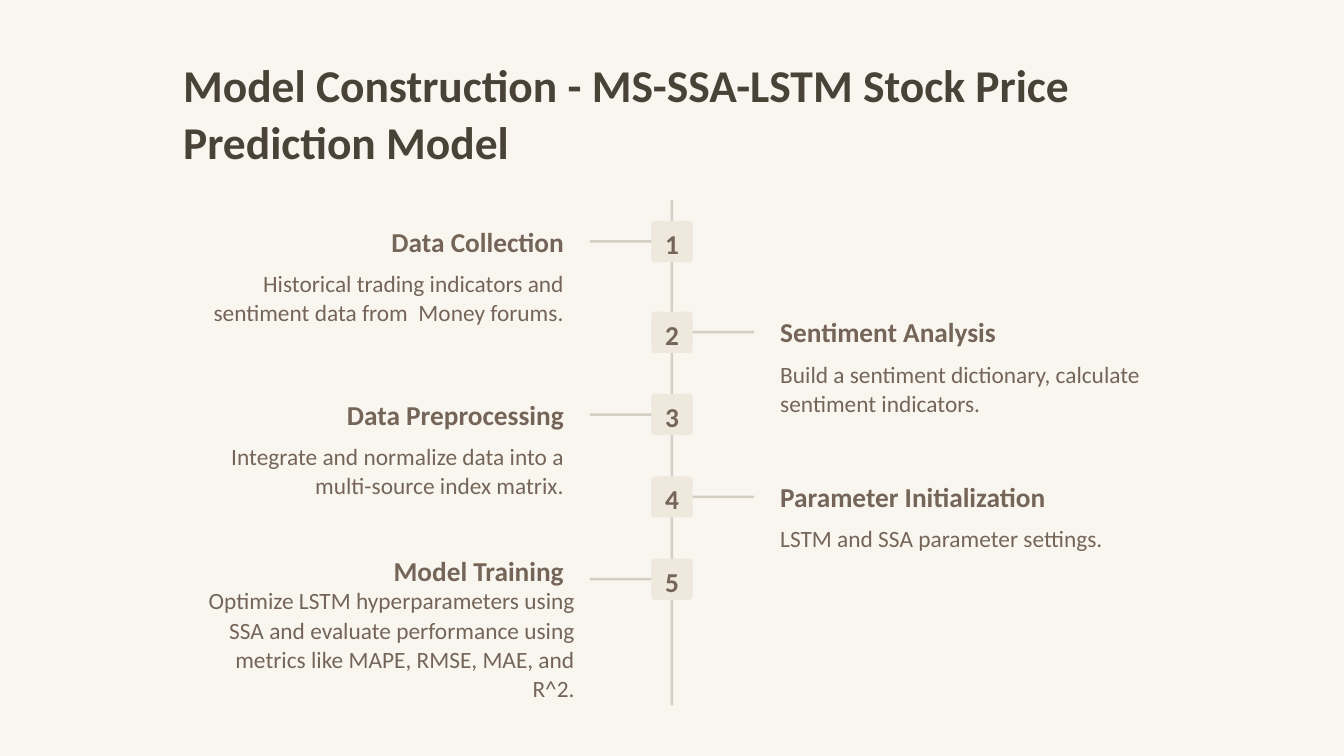
"""Builds a five-step timeline slide for a stock price prediction model."""
from pptx import Presentation, util as u
from pptx.dml.color import RGBColor
from pptx.enum import shapes, text

COLUMNS, ROWS = 16, 9
COLOURS = {"paper": "F9F6F0", "title": "484237", "body": "746558",
           "line": "D4CEC3", "badge": "EEE8DD"}
AXIS, BADGE, ARM, STROKE = 8, 0.49, 0.76, 0.03
DETAIL_WIDTH = 4.73
LEFT_EDGE, RIGHT_EDGE = 6.81, 9.19
FIRST_ROW, SECOND_ROW, ROW_STEP = 2.63, 3.71, 0.98

STEPS = [
    dict(heading="Data Collection",
         detail="Historical trading indicators and sentiment data from  Money forums."),
    dict(heading="Sentiment Analysis",
         detail="Build a sentiment dictionary, calculate sentiment indicators."),
    dict(heading="Data Preprocessing",
         detail="Integrate and normalize data into a multi-source index matrix."),
    dict(heading="Parameter Initialization", heading_width=3.87,
         detail="LSTM and SSA parameter settings.", detail_height=0.35),
    dict(heading="Model Training", heading_rise=0.12,
         detail="Optimize LSTM hyperparameters using SSA and evaluate performance "
                "using metrics like MAPE, RMSE, MAE, and R^2.",
         detail_height=1.37, detail_gap=0.39, detail_shift=0.13),
]


class Timeline:
    """Holds the deck style and the current page."""

    def __init__(self):
        self.font = "Calibri"
        self.deck = Presentation()
        self.deck.slide_width, self.deck.slide_height = u.Inches(16), u.Inches(9)
        self.page = self.deck.slides.add_slide(self.deck.slide_layouts[5])
        self.paint(self.page.background.fill, "paper")

    def paint(self, fill, colour):
        """Fill an area with a named colour."""
        fill.solid()
        fill.fore_color.rgb = RGBColor.from_string(COLOURS[colour])

    def place(self, left, top, width, height):
        """Turn grid columns and rows into slide lengths."""
        column = self.deck.slide_width / COLUMNS
        row = self.deck.slide_height / ROWS
        return (round(left * column), round(top * row),
                round(width * column), round(height * row))

    def set_words(self, box, words, size, spacing, align, bold=True, colour="body"):
        """Set one styled paragraph in a box."""
        frame = box.text_frame
        frame.word_wrap = True
        frame.auto_size = text.MSO_AUTO_SIZE.NONE
        frame.vertical_anchor = text.MSO_ANCHOR.TOP
        para = frame.paragraphs[0]
        para.text = words
        para.alignment = align
        para.line_spacing = u.Pt(spacing)
        para.font.name, para.font.size, para.font.bold = self.font, u.Pt(size), bold
        para.font.color.rgb = RGBColor.from_string(COLOURS[colour])

    def title(self, words, *area):
        """Move and fill the title placeholder."""
        box = self.page.shapes.title
        box.left, box.top, box.width, box.height = self.place(*area)
        self.set_words(box, words, 39, 48.8, text.PP_ALIGN.LEFT, colour="title")

    def label(self, words, area, size, spacing, align, bold):
        """Add a text box."""
        box = self.page.shapes.add_textbox(*self.place(*area))
        self.set_words(box, words, size, spacing, align, bold)

    def block(self, area, colour, rounding=0.5):
        """Add a plain rounded rectangle."""
        shape = self.page.shapes.add_shape(
            shapes.MSO_SHAPE.ROUNDED_RECTANGLE, *self.place(*area))
        shape.adjustments[0] = rounding
        shape.shadow.inherit = False
        shape.line.fill.background()
        self.paint(shape.fill, colour)
        return shape

    def badge(self, number, top):
        """Add a numbered square on the axis."""
        shape = self.block((AXIS - BADGE / 2, top, BADGE, BADGE), "badge", 0.07)
        frame = shape.text_frame
        frame.margin_left = frame.margin_right = frame.margin_bottom = 0
        frame.margin_top = u.Inches(0.13)
        self.set_words(shape, str(number), 23.4, 23.4, text.PP_ALIGN.CENTER)

    def step(self, number, top, heading, detail, heading_width=3.25, heading_rise=0.02,
             detail_height=0.69, detail_gap=0.53, detail_shift=0):
        """Add one step, with odd numbers on the left of the axis."""
        on_left = number % 2 == 1
        align = text.PP_ALIGN.RIGHT if on_left else text.PP_ALIGN.LEFT
        arm_left = AXIS - 0.98 if on_left else AXIS + 0.22
        heading_left = LEFT_EDGE - heading_width if on_left else RIGHT_EDGE
        detail_left = LEFT_EDGE - DETAIL_WIDTH if on_left else RIGHT_EDGE
        heading_top = top - heading_rise
        self.block((arm_left, top + 0.23, ARM, STROKE), "line")
        self.badge(number, top)
        self.label(heading, (heading_left, heading_top, heading_width, 0.41),
                   23.4, 29.3, align, True)
        self.label(detail, (detail_left + detail_shift, heading_top + detail_gap,
                            DETAIL_WIDTH, detail_height), 20, 25, align, False)


def main():
    """Build and save the slide."""
    timeline = Timeline()
    timeline.title("Model Construction - MS-SSA-LSTM Stock Price Prediction Model",
                   2.08, 0.6, 11.84, 1.35)
    timeline.block((AXIS - STROKE / 2, 2.38, STROKE, 6.02), "line")
    tops = [FIRST_ROW] + [SECOND_ROW + ROW_STEP * i for i in range(len(STEPS) - 1)]
    for number, (top, step) in enumerate(zip(tops, STEPS), 1):
        timeline.step(number, top, **step)
    timeline.deck.save("out.pptx")


if __name__ == "__main__":
    main()
